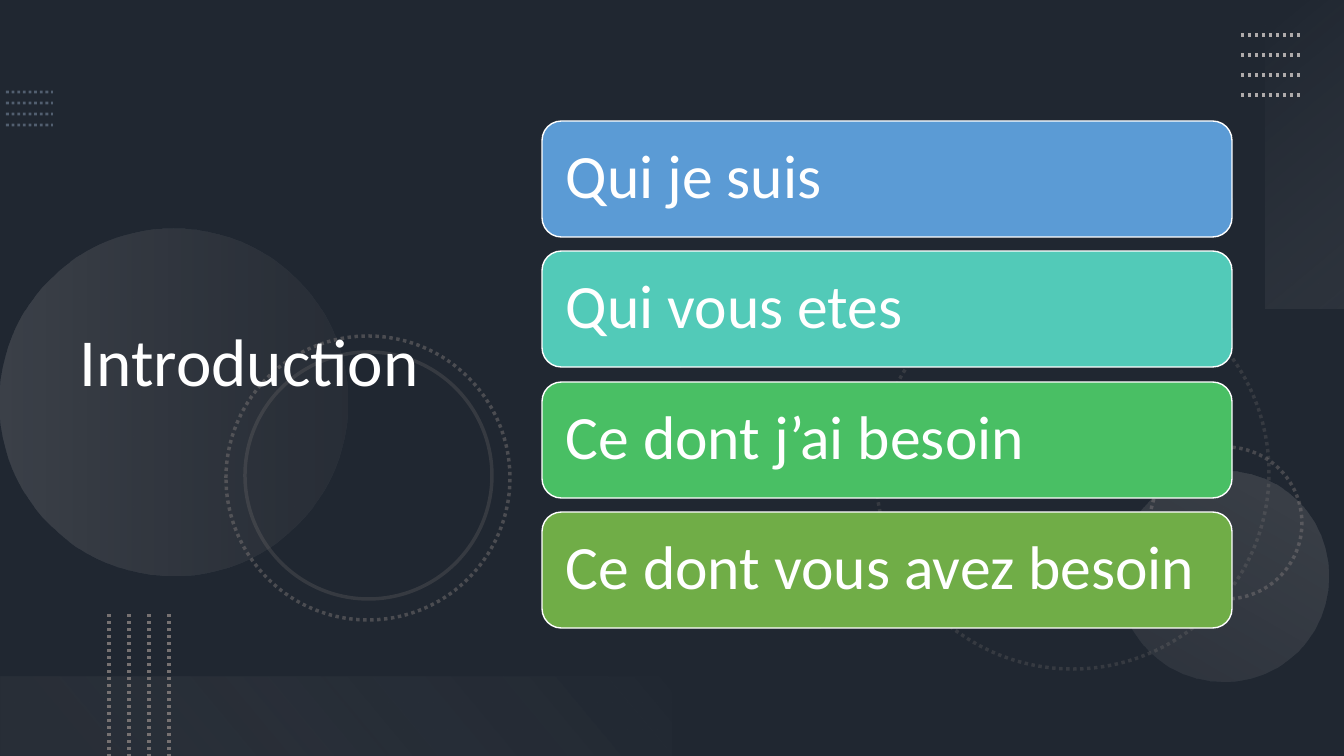
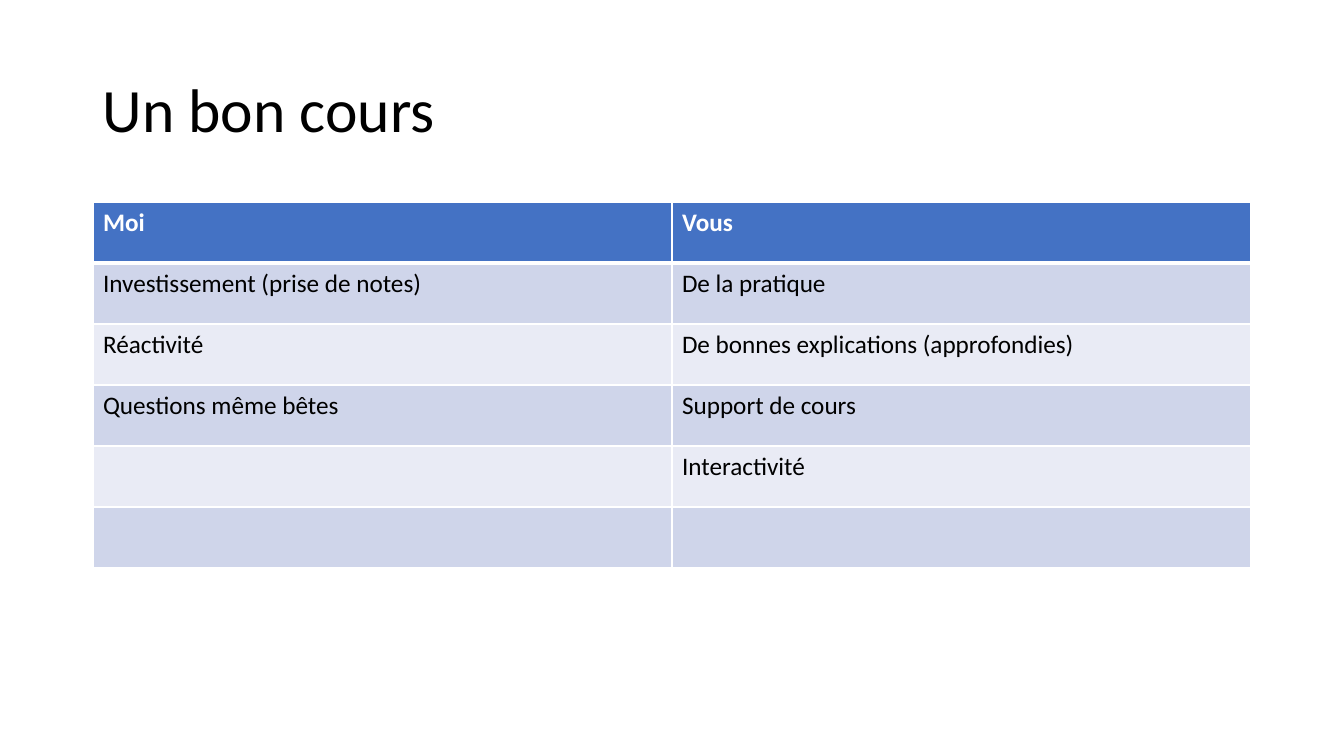
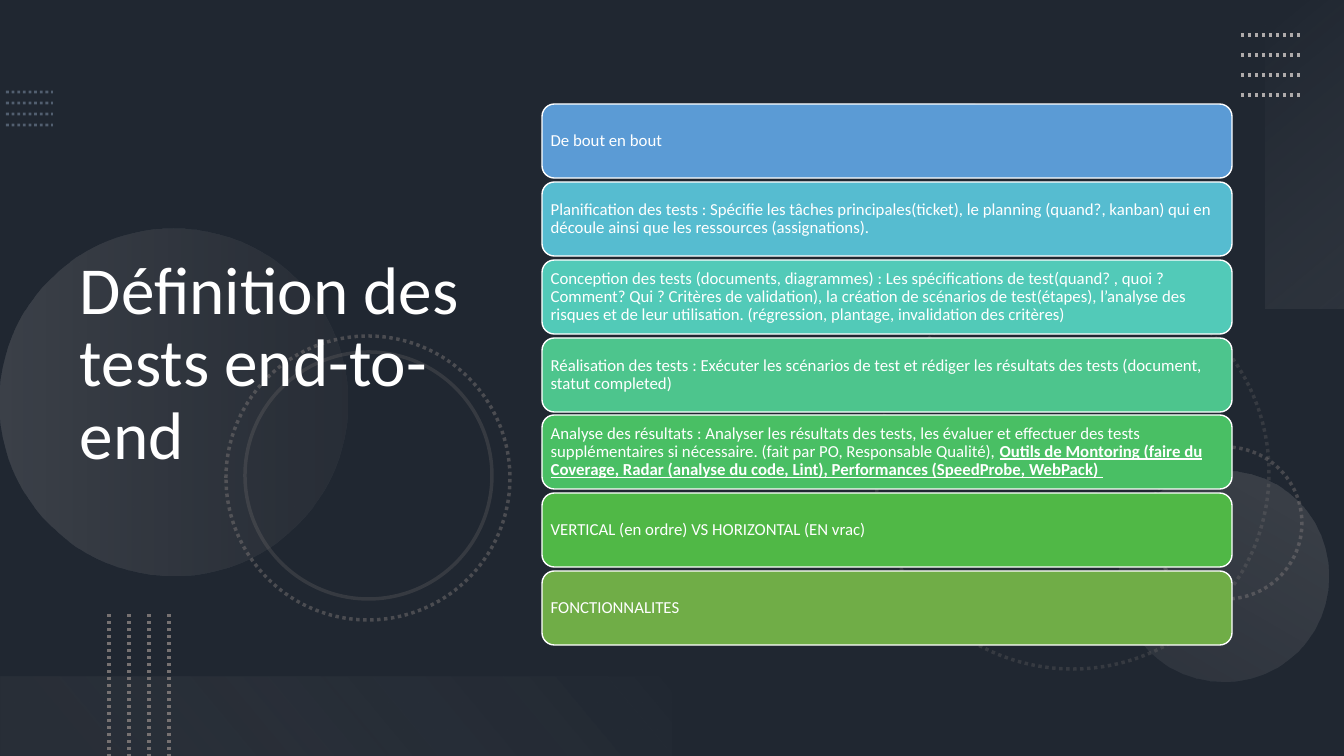
from lxml import etree
from pptx import Presentation
from pptx.dml.color import RGBColor
from pptx.enum import dml, shapes, text
from pptx.oxml.ns import qn
from pptx.util import Pt

PX = 12192000 / 1344
FONT = "Calibri"
WHITE, BLACK, SLATE = "FFFFFF", "000000", "44546A"
GREY, SILVER, STEEL = "767171", "AFABAB", "8497B0"
DOTS = dml.MSO_LINE.ROUND_DOT


def paint(color, value, owner=None, opacity=100):
    """Set a colour; opacity goes on the newest RGB colour inside owner."""
    color.rgb = RGBColor.from_string(value)
    if opacity < 100:
        newest = list(owner.iter(qn("a:srgbClr")))[-1]
        etree.SubElement(newest, qn("a:alpha")).set("val", str(opacity * 1000))


def write(frame, spans, size, color, spacing=0.9):
    """Write one left-aligned paragraph; every second span is stressed."""
    frame.word_wrap = True
    frame.vertical_anchor = text.MSO_ANCHOR.MIDDLE
    para = frame.paragraphs[0]
    para.alignment = text.PP_ALIGN.LEFT
    para.line_spacing = spacing
    for index, words in enumerate(spans):
        span = para.add_run()
        span.text = words
        span.font.name, span.font.size = FONT, Pt(size)
        span.font.bold = span.font.underline = index % 2 == 1
        paint(span.font.color, color)


deck = Presentation()
deck.slide_width, deck.slide_height = round(1344 * PX), round(756 * PX)
intro, course, testing = [deck.slides.add_slide(deck.slide_layouts[6]) for _ in range(3)]

# Decoration of the dark slides: left, top, size, opacity, dash
rings = [
    (876, 276, 393, 25, DOTS),
    (1150, 447, 152, 45, DOTS),
    (226, 336, 284, 50, DOTS),
    (245, 352, 247, 25, None),
]
# shape, left, top, width, height, rotation, clockwise angle, stops
OVAL, RECT = shapes.MSO_SHAPE.OVAL, shapes.MSO_SHAPE.RECTANGLE
glows = [
    (OVAL, 0, 229, 347, 347, 270, 90, [(0, SILVER, 20), (1, GREY, 10)]),
    (OVAL, 1119, 471, 210, 210, 210, 90, [(0, SILVER, 10), (1, SILVER, 20)]),
    (RECT, 1151, 115, 308, 79, 270, 140, [(0, "F5F5F5", 0), (1, SILVER, 10)]),
    (RECT, 0, 677, 672, 79, 180, 140, [(0.1, GREY, 10), (1, "F1F0F0", 0)]),
]
# start x, start y, end x, end y, step x, step y, colour, width, opacity
dotted_rows = [
    (6, 92, 53, 92, 0, 11, STEEL, 2, 50),
    (1241, 35, 1301, 35, 0, 20, SILVER, 2.5, 100),
    (109, 614, 109, 756, 20, 0, GREY, 2.5, 100),
]

# page, title, first top, last top, height, inset, size, cards
dark_slides = [
    (intro, "Introduction", 121, 512, 116, 18, 44, [
        ("5B9BD5", ["Qui je suis"]),
        ("52CAB8", ["Qui vous etes"]),
        ("49BF64", ["Ce dont j’ai besoin"]),
        ("70AD47", ["Ce dont vous avez besoin"]),
    ]),
    (testing, "Définition des tests end-to-end", 104, 571, 74, 5, 12, [
        ("5B9BD5", ["De bout en bout"]),
        ("56BCD0", ["Planification des tests : Spécifie les tâches principales(ticket), le planning "
                    "(quand?, kanban) qui en découle ainsi que les ressources (assignations). "]),
        ("52CAB8", ["Conception des tests (documents, diagrammes) : Les spécifications de "
                    "test(quand? , quoi ? Comment? Qui ? Critères de validation), la création de "
                    "scénarios de test(étapes), l’analyse des risques et de leur utilisation. "
                    "(régression, plantage, invalidation des critères)"]),
        ("4DC58D", ["Réalisation des tests : Exécuter les scénarios de test et rédiger les "
                    "résultats des tests (document, statut completed) "]),
        ("49BF64", ["Analyse des résultats : Analyser les résultats des tests, les évaluer et "
                    "effectuer des tests supplémentaires si nécessaire. (fait par PO, "
                    "Responsable Qualité), ",
                    "Outils de Montoring (faire du Coverage, Radar (analyse du code, Lint), "
                    "Performances (SpeedProbe, WebPack) "]),
        ("50B846", ["VERTICAL (en ordre) VS HORIZONTAL (EN vrac)"]),
        ("70AD47", ["FONCTIONNALITES"]),
    ]),
]

for page, title, first, last, height, inset, size, cards in dark_slides:
    page.background.fill.solid()
    paint(page.background.fill.fore_color, SLATE)
    veil = page.shapes.add_shape(RECT, 0, 0, deck.slide_width, deck.slide_height)
    veil.shadow.inherit = False
    veil.fill.solid()
    paint(veil.fill.fore_color, BLACK, veil.element, 53)
    veil.line.fill.background()

    for left, top, side, opacity, dash in rings:
        ring = page.shapes.add_shape(OVAL, *[round(v * PX) for v in (left, top, side, side)])
        ring.shadow.inherit = False
        ring.fill.background()
        paint(ring.line.color, GREY, ring.element, opacity)
        ring.line.width = Pt(2.5)
        ring.line.dash_style = dash

    for kind, left, top, width, tall, rotation, angle, stops in glows:
        glow = page.shapes.add_shape(kind, *[round(v * PX) for v in (left, top, width, tall)])
        glow.shadow.inherit = False
        glow.rotation = rotation
        glow.line.fill.background()
        glow.fill.gradient()
        glow.fill.gradient_angle = 360 - angle
        for stop, (position, color, opacity) in zip(glow.fill.gradient_stops, stops):
            stop.position = position
            paint(stop.color, color, glow.element, opacity)

    for x1, y1, x2, y2, step_x, step_y, color, width, opacity in dotted_rows:
        for i in range(4):
            ends = (x1 + i * step_x, y1 + i * step_y, x2 + i * step_x, y2 + i * step_y)
            dots = page.shapes.add_connector(
                shapes.MSO_CONNECTOR.STRAIGHT, *[round(v * PX) for v in ends])
            paint(dots.line.color, color, dots.element, opacity)
            dots.line.width = Pt(width)
            dots.line.dash_style = DOTS
            etree.SubElement(dots.element.spPr, qn("a:effectLst"))

    box = page.shapes.add_textbox(*[round(v * PX) for v in (70, 54, 463, 622)])
    write(box.text_frame, [title], 48, WHITE)

    step = (last - first) / (len(cards) - 1)
    for i, (color, spans) in enumerate(cards):
        top = round(first + i * step)
        card = page.shapes.add_shape(
            shapes.MSO_SHAPE.ROUNDED_RECTANGLE, *[round(v * PX) for v in (542, top, 690, height)])
        card.shadow.inherit = False
        card.fill.solid()
        paint(card.fill.fore_color, color)
        paint(card.line.color, WHITE)
        card.line.width = Pt(1)
        frame = card.text_frame
        frame.margin_left = frame.margin_right = round(inset * PX)
        frame.margin_top = frame.margin_bottom = round(inset * PX)
        write(frame, spans, size, WHITE)

# Course slide
box = course.shapes.add_textbox(*[round(v * PX) for v in (93, 40, 1159, 146)])
write(box.text_frame, ["Un bon cours"], 44, BLACK)

rows = [
    ("Moi", "Vous"),
    ("Investissement (prise de notes)", "De la pratique"),
    ("Réactivité", "De bonnes explications (approfondies)"),
    ("Questions même bêtes", "Support de cours"),
    ("", "Interactivité"),
    ("", ""),
]
table = course.shapes.add_table(
    len(rows), 2, *[round(v * PX) for v in (93, 202, 1158, 366)]).table
for column in table.columns:
    column.width = round(579 * PX)
for r, words in enumerate(rows):
    table.rows[r].height = round(61 * PX)
    for c, word in enumerate(words):
        cell = table.cell(r, c)
        cell.fill.solid()
        paint(cell.fill.fore_color, "4472C4" if r == 0 else ("E9EBF5", "CFD5EA")[r % 2])
        if word:
            write(cell.text_frame, [word], 18, BLACK if r else WHITE, 1)
            cell.text_frame.paragraphs[0].runs[0].font.bold = r == 0
        cell.vertical_anchor = text.MSO_ANCHOR.TOP
        for place, side in enumerate("LRTB"):
            thick = (r, side) in ((0, "B"), (1, "T"))
            border = etree.Element(qn("a:ln" + side), w=str(Pt(3 if thick else 1)))
            solid = etree.SubElement(border, qn("a:solidFill"))
            etree.SubElement(solid, qn("a:srgbClr"), val=WHITE)
            cell._tc.tcPr.insert(place, border)

deck.save("out.pptx")
